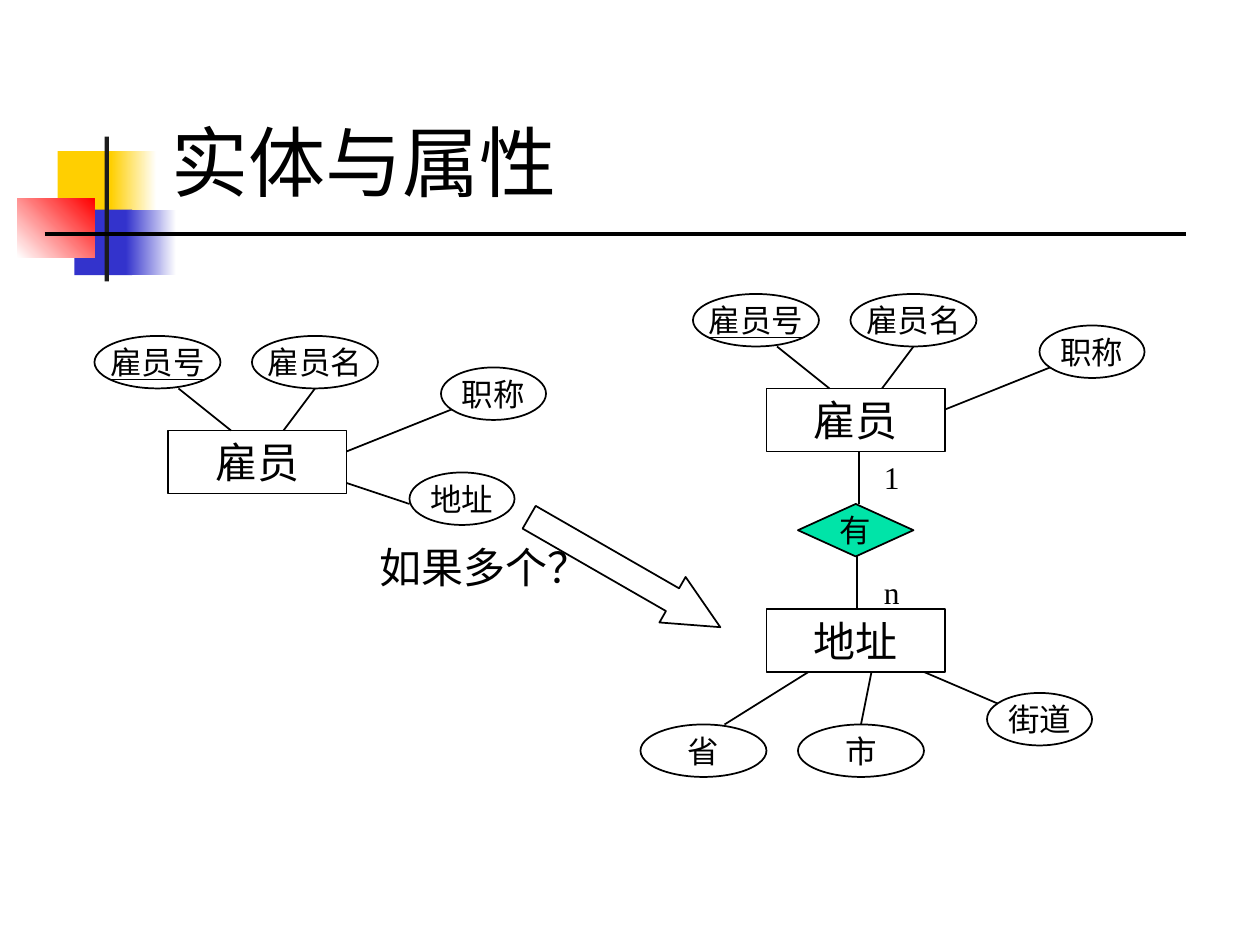
from lxml import etree
from pptx import Presentation
from pptx.dml.color import RGBColor
from pptx.enum import shapes, text
from pptx.oxml.ns import qn
from pptx.util import Pt

hex_color = RGBColor.from_string
BLACK, WHITE = "000000", "FFFFFF"
YELLOW, BLUE, RED, GREEN = "FFCF01", "3333CC", "FF0000", "00E4A8"
KIND = shapes.MSO_SHAPE
MIDDLE, TOP, BOTTOM = text.MSO_ANCHOR.MIDDLE, text.MSO_ANCHOR.TOP, text.MSO_ANCHOR.BOTTOM
LEFT, CENTER = text.PP_ALIGN.LEFT, text.PP_ALIGN.CENTER


def write(shape, words, size, anchor=TOP, align=LEFT, wrap=True, underline=None):
    frame = shape.text_frame
    frame.text = words
    frame.word_wrap = wrap
    frame.vertical_anchor = anchor
    paragraph = frame.paragraphs[0]
    paragraph.alignment = align
    font = paragraph.runs[0].font
    font.name = "Times New Roman"
    font.size = Pt(size)
    font.underline = underline
    font.color.rgb = hex_color(BLACK)


def draw_line(x1, y1, x2, y2, width=1):
    line = slide.shapes.add_connector(
        shapes.MSO_CONNECTOR.STRAIGHT, Pt(x1), Pt(y1), Pt(x2), Pt(y2))
    line.line.color.rgb = hex_color(BLACK)
    line.line.width = Pt(width)
    etree.SubElement(line._element.spPr, qn("a:effectLst"))


prs = Presentation()
prs.slide_width, prs.slide_height = Pt(720), Pt(540)
slide = prs.slides.add_slide(prs.slide_layouts[6])

# Corner ornament: left, top, width, height, colours from start to end, angle
ornament = [
    (33, 86.4, 34.5, 37.4, [YELLOW], 0),
    (63.4, 86.4, 26, 37.4, [YELLOW, WHITE], 0),
    (42.5, 119.8, 33, 37.4, [BLUE], 0),
    (72, 119.8, 28.8, 37.4, [BLUE, WHITE], 0),
    (9.9, 113.7, 44.2, 33.5, [WHITE, RED], 45),
    (59.8, 78, 2.4, 82.8, ["1C1C1C"], 0),
]
for left, top, width, height, colors, angle in ornament:
    block = slide.shapes.add_shape(KIND.RECTANGLE, Pt(left), Pt(top), Pt(width), Pt(height))
    block.shadow.inherit = False
    block.line.fill.background()
    if len(colors) == 1:
        block.fill.solid()
        block.fill.fore_color.rgb = hex_color(colors[0])
    else:
        block.fill.gradient()
        block.fill.gradient_angle = angle
        for stop, color in zip(block.fill.gradient_stops, colors):
            stop.color.rgb = hex_color(color)
draw_line(25.5, 133.8, 677.5, 133.8, 2.25)

# Captions: left, top, width, height, words, size, anchor
captions = [
    (90.7, 31.7, 613.4, 90, "实体与属性", 44, BOTTOM),
    (210, 306, 144, 36, "如果多个？", 24, TOP),
    (498, 258, 24, 28.8, "1", 18, TOP),
    (498, 324, 30, 28.8, "n", 18, TOP),
]
for left, top, width, height, words, size, anchor in captions:
    caption = slide.shapes.add_textbox(Pt(left), Pt(top), Pt(width), Pt(height))
    write(caption, words, size, anchor)

# Diagram parts: kind, left, top, width, words
nodes = [
    (KIND.OVAL, 234, 270, 60, "地址"),
    (KIND.FLOWCHART_DECISION, 456, 288, 66, "有"),
    (KIND.RECTANGLE, 438, 348, 102, "地址"),
    (KIND.OVAL, 366, 414, 72, "省"),
    (KIND.OVAL, 456, 414, 72, "市"),
    (KIND.OVAL, 564, 396, 60, "街道"),
]
links = [
    (198, 276, 234, 288),
    (491, 288, 491, 258),
    (489.6, 318, 489.6, 348),
    (462, 384, 414, 414),
    (498, 384, 492, 414),
    (528, 384, 570, 402),
]
# The employee entity appears on both sides with the same three attributes
for x, y in [(54, 192), (396, 168)]:
    nodes += [
        (KIND.RECTANGLE, x + 42, y + 54, 102, "雇员"),
        (KIND.OVAL, x, y, 72, "雇员号"),
        (KIND.OVAL, x + 90, y, 72, "雇员名"),
        (KIND.OVAL, x + 198, y + 18, 60, "职称"),
    ]
    links += [
        (x + 48, y + 30, x + 78, y + 54),
        (x + 126, y + 30, x + 108, y + 54),
        (x + 204, y + 42, x + 144, y + 66),
    ]

for kind, left, top, width, words in nodes:
    is_entity = kind == KIND.RECTANGLE
    node = slide.shapes.add_shape(
        kind, Pt(left), Pt(top), Pt(width), Pt(36 if is_entity else 30))
    node.shadow.inherit = False
    node.line.color.rgb = hex_color(BLACK)
    node.line.width = Pt(1)
    if kind == KIND.FLOWCHART_DECISION:
        node.fill.solid()
        node.fill.fore_color.rgb = hex_color(GREEN)
    else:
        node.fill.background()
    if is_entity:
        write(node, words, 24, TOP, CENTER)
    else:
        is_key = True if words == "雇员号" else None
        write(node, words, 18, MIDDLE, CENTER, wrap=False, underline=is_key)

for link in links:
    draw_line(*link)

transition = slide.shapes.add_shape(KIND.RIGHT_ARROW, Pt(294), Pt(312), Pt(126), Pt(30))
transition.shadow.inherit = False
transition.adjustments[0] = 0.5
transition.adjustments[1] = 1.05
transition.rotation = 29.9
transition.fill.background()
transition.line.color.rgb = hex_color(BLACK)
transition.line.width = Pt(1)

prs.save("out.pptx")
